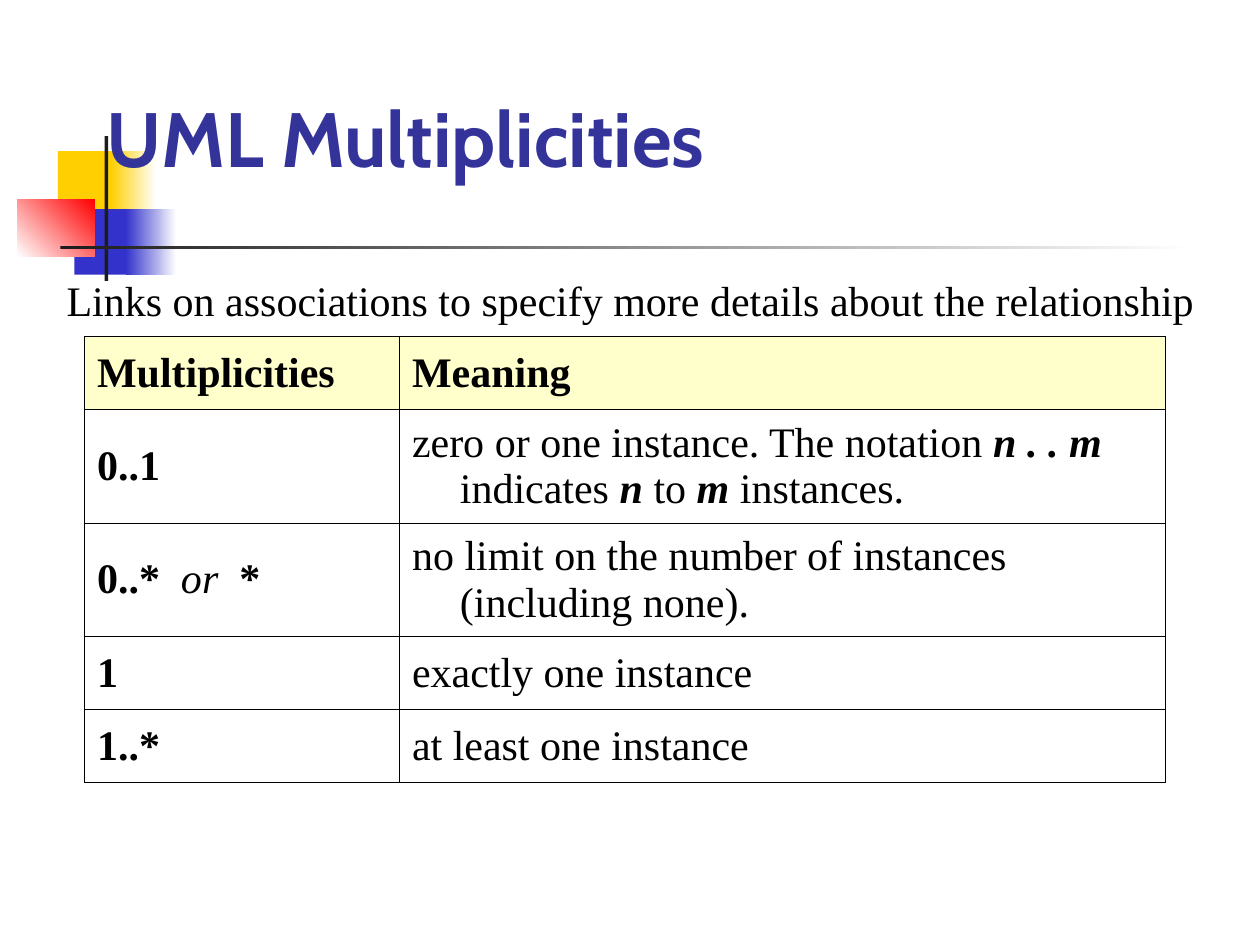
from lxml import etree
from pptx import Presentation
from pptx.dml.color import RGBColor
from pptx.enum import shapes, text
from pptx.oxml import ns
from pptx.util import Inches, Pt


def paint(color, hex_value):
    color.rgb = RGBColor.from_string(hex_value)


def add_run(paragraph, words, style="", size=24, font="Times New Roman", color="000000"):
    run = paragraph.add_run()
    run.text = words
    run.font.size = Pt(size)
    run.font.name = font
    run.font.bold = "b" in style
    run.font.italic = "i" in style
    paint(run.font.color, color)


deck = Presentation()
deck.slide_width, deck.slide_height = Inches(10), Inches(7.5)
slide = deck.slides.add_slide(deck.slide_layouts[6])

# Corner ornament and rule: left, top, width, height, colours, gradient angle
ornament = [
    (0.46, 1.2, 0.48, 0.52, ["FFCF01"], 0),
    (0.88, 1.2, 0.36, 0.52, ["FFCF01", "FFFFFF"], 0),
    (0.59, 1.66, 0.46, 0.52, ["3333CC"], 0),
    (1, 1.66, 0.4, 0.52, ["3333CC", "FFFFFF"], 0),
    (0.14, 1.58, 0.61, 0.46, ["FFFFFF", "FF0000"], 45),
    (0.83, 1.08, 0.03, 1.15, ["1C1C1C"], 0),
    (0.48, 1.95, 9, 0.03, ["1C1C1C", "FFFFFF"], 0),
]
for left, top, width, height, colors, angle in ornament:
    block = slide.shapes.add_shape(
        shapes.MSO_SHAPE.RECTANGLE, Inches(left), Inches(top), Inches(width), Inches(height))
    block.shadow.inherit = False
    block.line.fill.background()
    if len(colors) == 1:
        block.fill.solid()
        paint(block.fill.fore_color, colors[0])
    else:
        block.fill.gradient()
        block.fill.gradient_angle = angle
        for stop, color in zip(block.fill.gradient_stops, colors):
            paint(stop.color, color)

# Title
title = slide.shapes.add_textbox(Inches(0.75), Inches(0.25), Inches(8.5), Inches(1.25)).text_frame
title.word_wrap = True
title.vertical_anchor = text.MSO_ANCHOR.BOTTOM
add_run(title.paragraphs[0], "UML Multiplicities", "b", 44, "Cabin", "333399")

# Multiplicity table: each cell is a list of (words, style) runs
rows = [
    (0.58, [("Multiplicities", "b")], [("Meaning", "b")]),
    (0.9, [("0..1", "b")],
     [("zero or one instance. The notation ", ""), ("n . . m", "bi"), (" indicates ", ""),
      ("n", "bi"), (" to ", ""), ("m", "bi"), (" instances.", "")]),
    (0.9, [("0..*", "b"), ("  or  ", "i"), ("*", "b")],
     [("no limit on the number of instances (including none).", "")]),
    (0.58, [("1", "b")], [("exactly one instance", "")]),
    (0.58, [("1..*", "b")], [("at least one instance", "")]),
]
multiplicities = slide.shapes.add_table(
    len(rows), 2, Inches(0.67), Inches(2.67), Inches(8.58), Inches(3.55)).table
multiplicities.first_row = multiplicities.horz_banding = False
for column, width in zip(multiplicities.columns, (2.5, 6.08)):
    column.width = Inches(width)

for row_index, (height, *contents) in enumerate(rows):
    multiplicities.rows[row_index].height = Inches(height)
    for column_index, runs in enumerate(contents):
        cell = multiplicities.cell(row_index, column_index)
        cell.vertical_anchor = text.MSO_ANCHOR.MIDDLE
        paragraph = cell.text_frame.paragraphs[0]
        for words, style in runs:
            add_run(paragraph, words, style)

        # Hanging indent
        indent = paragraph._p.get_or_add_pPr()
        indent.set("marL", str(Inches(0.38)))
        indent.set("indent", str(-Inches(0.38)))

        # Borders come before the fill in the cell properties
        properties = cell._tc.get_or_add_tcPr()
        for side in ("a:lnL", "a:lnR", "a:lnT", "a:lnB"):
            border = etree.SubElement(properties, ns.qn(side), w=str(Pt(0.34)))
            ink = etree.SubElement(border, ns.qn("a:solidFill"))
            etree.SubElement(ink, ns.qn("a:srgbClr"), val="000000")
        if row_index == 0:
            cell.fill.solid()
            paint(cell.fill.fore_color, "FFFFCC")
        else:
            cell.fill.background()

# Introductory line
intro = slide.shapes.add_textbox(Inches(0.43), Inches(2.13), Inches(9.15), Inches(0.5)).text_frame
intro.word_wrap = False
intro.auto_size = text.MSO_AUTO_SIZE.SHAPE_TO_FIT_TEXT
add_run(intro.paragraphs[0],
        "Links on associations to specify more details about the relationship")

deck.save("out.pptx")
